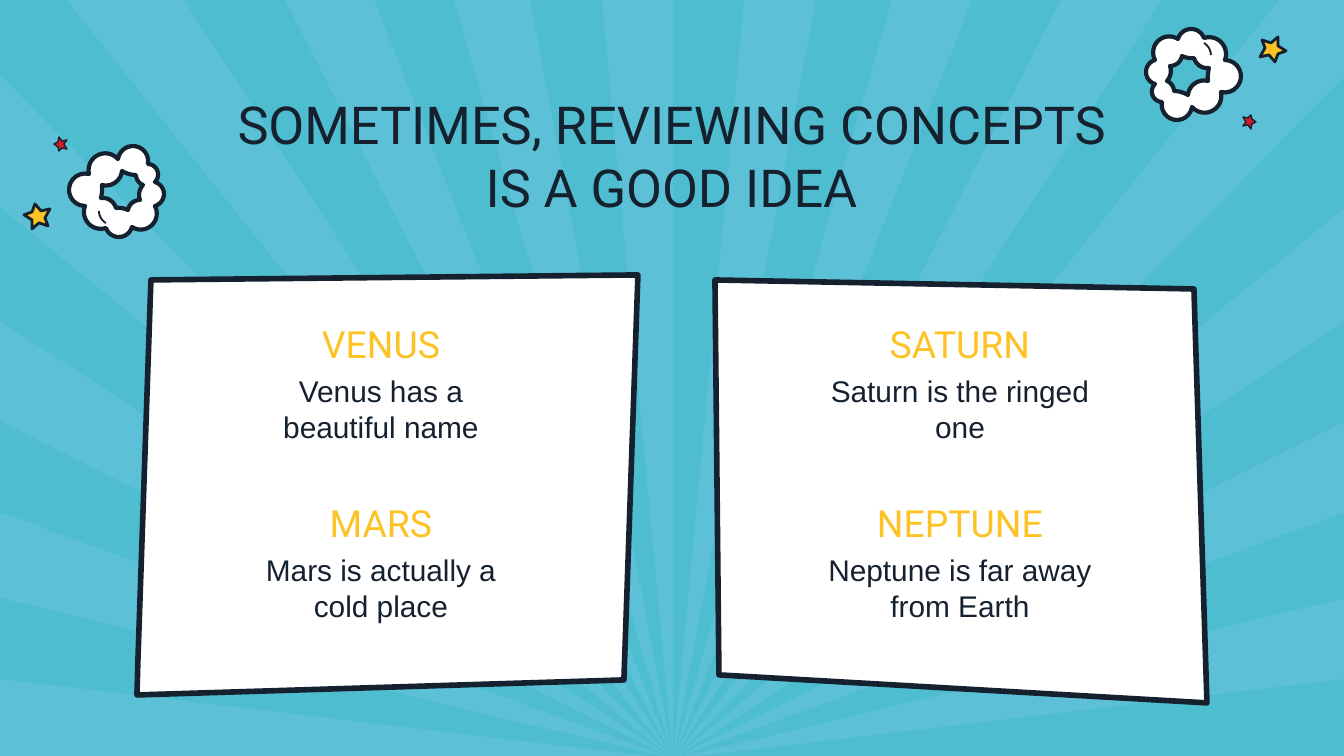
import math
from itertools import pairwise

from lxml import etree
from pptx import Presentation
from pptx import util as u
from pptx.dml.color import RGBColor
from pptx.enum import text

PX = 914400 / 134.4
WIDE, HIGH = 1344, 756
HUES = {"sky": "4EBDCF", "ray": "5CC1D6", "ink": "162130",
        "gold": "FDC324", "red": "CC1D2D", "white": "FFFFFF"}

APEX = (673, 759)
SIDES = [759, 679, 598, 512, 421, 321, 207, 75]
TOPS = [67, 184, 285, 374, 454, 530, 602]

PANELS = [
    [(1194, 289), (715, 280), (719, 675), (1207, 703), (1206, 671)],
    [(151, 280), (638, 275), (624, 680), (137, 695), (138, 661)],
]
COLS, ROWS = (234, 813), (308, 487)
FACTS = [
    [("VENUS", "Venus has a beautiful name"),
     ("MARS", "Mars is actually a cold place")],
    [("SATURN", "Saturn is the ringed one"),
     ("NEPTUNE", "Neptune is far away from Earth")],
]

# Outlines of puffs: notch, crest, notch, crest and so on
PUFFS = [(118, 159), (133, 146), (148, 164), (155, 167), (155, 182),
         (164, 194), (155, 206), (153, 224), (132, 227), (118, 237),
         (106, 228), (89, 224), (85, 206), (69, 190), (89, 174), (98, 155)]
HOLE = [(122, 171), (116, 182), (102, 185), (102, 192), (101, 198),
        (110, 200), (116, 208), (121, 208), (128, 210), (132, 203),
        (140, 200), (140, 190), (143, 185), (138, 181), (136, 175), (129, 174)]
CREASE = [(106, 223), (101, 218), (99, 211)]
STAR = [(24, 215), (32, 212), (35, 204), (41, 211), (50, 209),
        (45, 218), (48, 226), (39, 223), (32, 229), (32, 220)]
SPARK = [(54, 144), (58, 142), (59, 137), (62, 141), (67, 140),
         (64, 144), (67, 149), (62, 148), (59, 151), (58, 147)]


def emu(px):
    return u.Emu(round(px * PX))


def arc(start, crest, end, steps=12):
    """Points of the circular arc through three points."""
    a, m, b = complex(*start), complex(*crest), complex(*end)
    w = (b - a) / (m - a)
    mid = a + (m - a) * (w - abs(w) ** 2) / (2j * w.imag)
    turns = (m - mid) / (a - mid), (b - mid) / (m - mid)
    sweep = sum(math.atan2(t.imag, t.real) for t in turns)
    for i in range(steps + 1):
        angle = sweep * i / steps
        p = mid + (a - mid) * complex(math.cos(angle), math.sin(angle))
        yield p.real, p.imag


def puff(ring):
    """Closed outline made of one arc for each crest."""
    ring = ring + ring[:1]
    return [p for i in range(0, len(ring) - 1, 2) for p in arc(*ring[i:i + 3])]


def turn(points):
    """Half a turn, from the left ornament to the right one."""
    return [(1310 - x, 266 - y) for x, y in points]


class Page:
    def __init__(self, deck):
        self.slide = deck.slides.add_slide(deck.slide_layouts[4])
        self.marks = self.slide.placeholders
        self.paint(self.slide.background.fill, "sky")

    def paint(self, fill, hue):
        fill.solid()
        fill.fore_color.rgb = RGBColor.from_string(HUES[hue])

    def draw(self, *rings, fill=None, line=0, close=True):
        pen = None
        for ring in rings:
            first, *rest = [(emu(x), emu(y)) for x, y in ring]
            if pen is None:
                pen = self.slide.shapes.build_freeform(*first, scale=1.0)
            else:
                pen.move_to(*first)
            pen.add_line_segments(rest, close=close)
        shape = pen.convert_to_shape()
        shape.shadow.inherit = False
        if fill:
            self.paint(shape.fill, fill)
        else:
            shape.fill.background()
        if line:
            self.paint(shape.line.fill, "ink")
            shape.line.width = u.Pt(line)
        else:
            shape.line.fill.background()

    def label(self, x, y, wide, high, words, size, font, hue="ink"):
        box = self.slide.shapes.add_textbox(0, 0, 0, 0)
        self.style(box, x, y, wide, high, words, size, font, hue)

    def hold(self, idx, x, y, wide, high, words, size, font, hue="ink"):
        """Fill a placeholder and bring it to the front."""
        box = next(p for p in self.marks if p.placeholder_format.idx == idx)
        box.element.getparent().append(box.element)
        self.style(box, x, y, wide, high, words, size, font, hue)

    def style(self, box, x, y, wide, high, words, size, font, hue):
        box.left, box.top = emu(x), emu(y)
        box.width, box.height = emu(wide), emu(high)
        frame = box.text_frame
        frame.text = words
        frame.word_wrap = True
        frame.auto_size = text.MSO_AUTO_SIZE.NONE
        frame.vertical_anchor = text.MSO_ANCHOR.TOP
        frame.margin_left = frame.margin_right = u.Inches(0.1)
        frame.margin_top = frame.margin_bottom = u.Inches(0.1)
        para = frame.paragraphs[0]
        para.alignment = text.PP_ALIGN.CENTER
        para.line_spacing = 1.0
        para.space_before = u.Pt(0)
        props = para._p.get_or_add_pPr()
        props.set("marL", "0")
        props.set("indent", "0")
        etree.SubElement(props, props.tag.replace("pPr", "buNone"))
        para.font.name, para.font.size = font, u.Pt(size)
        para.font.bold = False
        para.font.color.rgb = RGBColor.from_string(HUES[hue])


def rays(page):
    right = 2 * APEX[0]
    tops = TOPS + [APEX[0]] + [right - x for x in reversed(TOPS)]
    rim = [(0, y) for y in SIDES] + [(x, 0) for x in tops]
    rim += [(right, y) for y in reversed(SIDES)]
    for start, end in list(pairwise(rim))[::2]:
        corner = [(right, 0)] if start[1] == 0 and end[1] else []
        page.draw([start, *corner, end, APEX], fill="ray")


def ornament(page, place):
    page.draw(place(STAR), fill="gold", line=1.5)
    page.draw(place(SPARK), fill="red", line=0.75)
    page.draw(place(puff(PUFFS)), place(puff(HOLE)), fill="white", line=2.25)
    page.draw(place(list(arc(*CREASE))), line=1, close=False)


def main():
    deck = Presentation()
    deck.slide_width, deck.slide_height = emu(WIDE), emu(HIGH)
    page = Page(deck)
    rays(page)
    page.hold(0, 216, 79, 911, 146,
              "SOMETIMES, REVIEWING CONCEPTS IS A GOOD IDEA", 28, "Roboto")
    for panel in PANELS:
        page.draw(panel, fill="white", line=3)
    idx = 1
    for x, facts in zip(COLS, FACTS):
        for y, (name, fact) in zip(ROWS, facts):
            page.label(x, y, 294, 44, name, 20, "Roboto", "gold")
            page.hold(idx, x, y + 51, 294, 99, fact, 16, "Arial")
            idx += 1
    for place in (list, turn):
        ornament(page, place)
    deck.save("out.pptx")


if __name__ == "__main__":
    main()
